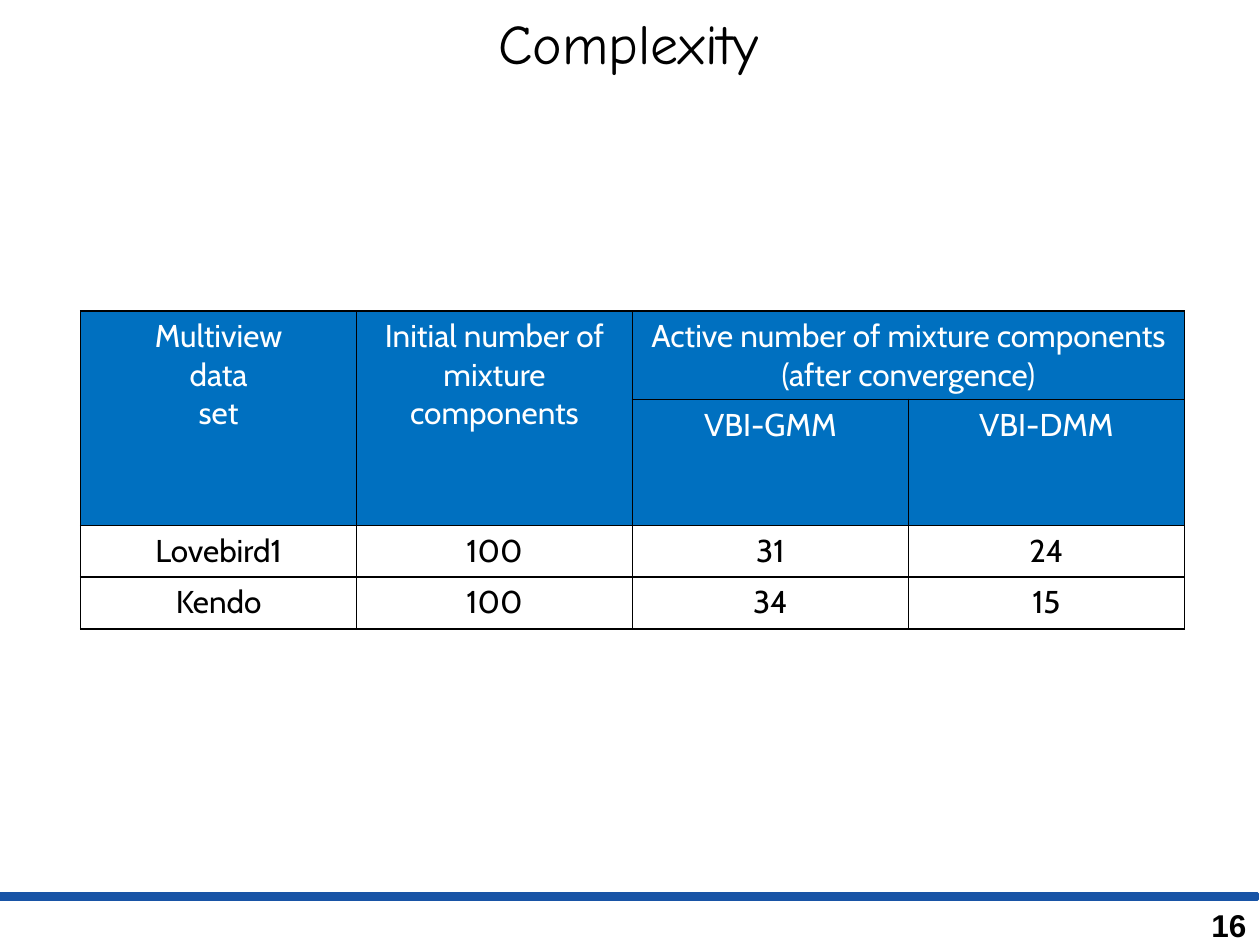
"""Build the Complexity slide: a title, a results table and a page footer."""
from dataclasses import dataclass

from lxml.etree import SubElement
from pptx import Presentation
from pptx.dml.color import RGBColor
from pptx.enum.shapes import MSO_SHAPE
from pptx.enum.text import MSO_ANCHOR, MSO_AUTO_SIZE, PP_ALIGN
from pptx.oxml.ns import qn
from pptx.slide import Slide
from pptx.table import Table, _Cell
from pptx.text.text import TextFrame
from pptx.util import Inches, Pt

BLACK = RGBColor(0, 0, 0)
WHITE = RGBColor(255, 255, 255)
HEADER_BLUE = RGBColor(0x00, 0x70, 0xC0)
RULE_BLUE = RGBColor(0x18, 0x54, 0xA6)

COLUMN_WIDTH = 2.19
ROW_HEIGHTS = (0.45, 0.41, 0.41, 0.41)
HEADER_ROWS = 2


@dataclass(frozen=True)
class HeaderCell:
    """A header cell with its grid place and span."""
    row: int
    column: int
    text: str
    row_span: int = 1
    column_span: int = 1


HEADERS = (
    HeaderCell(0, 0, "Multiview\ndata\nset", row_span=2),
    HeaderCell(0, 1, "Initial number of mixture components", row_span=2),
    HeaderCell(0, 2, "Active number of mixture components (after convergence)", column_span=2),
    HeaderCell(1, 2, "VBI-GMM"),
    HeaderCell(1, 3, "VBI-DMM"),
)
RESULTS = (
    ("Lovebird1", "100", "31", "24"),
    ("Kendo", "100", "34", "15"),
)


def write_text(frame: TextFrame, text: str, *, font: str = "Cabin", size: int = 18,
               color: RGBColor = BLACK, bold: bool = False,
               align: PP_ALIGN = PP_ALIGN.CENTER) -> None:
    """Fill a text frame with one formatted paragraph per line."""
    frame.word_wrap = True
    frame.text = text
    for paragraph in frame.paragraphs:
        paragraph.alignment = align
        for run in paragraph.runs:
            run.font.name = font
            run.font.size = Pt(size)
            run.font.bold = bold
            run.font.color.rgb = color


def add_bar(slide: Slide, top: float, height: float, color: RGBColor) -> TextFrame:
    """Add a rectangle across the slide and return its text frame."""
    shape = slide.shapes.add_shape(
        MSO_SHAPE.RECTANGLE, 0, Inches(top), Inches(9.98), Inches(height))
    shape.shadow.inherit = False
    shape.fill.solid()
    shape.fill.fore_color.rgb = color
    shape.line.color.rgb = color
    shape.line.width = Pt(2)
    return shape.text_frame


def style_cell(cell: _Cell, fill: RGBColor) -> None:
    """Give a cell thin black borders and a solid fill."""
    properties = cell._tc.get_or_add_tcPr()
    for side in ("a:lnL", "a:lnR", "a:lnT", "a:lnB"):
        border = SubElement(properties, qn(side), w=str(Pt(1)))
        solid = SubElement(border, qn("a:solidFill"))
        SubElement(solid, qn("a:srgbClr"), val=str(BLACK))
    cell.fill.solid()
    cell.fill.fore_color.rgb = fill


def add_header(table: Table, header: HeaderCell) -> None:
    """Write a header cell, merging it over its span."""
    cell = table.cell(header.row, header.column)
    if header.row_span * header.column_span > 1:
        cell.merge(table.cell(header.row + header.row_span - 1,
                              header.column + header.column_span - 1))
    write_text(cell.text_frame, header.text, color=WHITE)


def add_results_table(slide: Slide) -> None:
    """Add the table of mixture components."""
    column_count = len(RESULTS[0])
    table = slide.shapes.add_table(
        len(ROW_HEIGHTS), column_count, Inches(0.64), Inches(2.47),
        Inches(COLUMN_WIDTH * column_count), Inches(sum(ROW_HEIGHTS))).table
    table.horz_banding = False
    table.first_row = False
    for column in table.columns:
        column.width = Inches(COLUMN_WIDTH)
    for index, height in enumerate(ROW_HEIGHTS):
        table.rows[index].height = Inches(height)
        for cell in table.rows[index].cells:
            style_cell(cell, HEADER_BLUE if index < HEADER_ROWS else WHITE)
    for header in HEADERS:
        add_header(table, header)
    for row, values in enumerate(RESULTS, start=HEADER_ROWS):
        for column, value in enumerate(values):
            write_text(table.cell(row, column).text_frame, value)


def add_page_number(slide: Slide, number: str) -> None:
    """Add the page number at the lower right."""
    frame = slide.shapes.add_textbox(
        Inches(9.28), Inches(7.14), Inches(0.71), Inches(0.4)).text_frame
    write_text(frame, number, font="Arial", bold=True, align=PP_ALIGN.RIGHT)
    frame.auto_size = MSO_AUTO_SIZE.SHAPE_TO_FIT_TEXT


def main() -> None:
    """Build and save the presentation."""
    presentation = Presentation()
    presentation.slide_width = Inches(10)
    presentation.slide_height = Inches(7.5)
    slide = presentation.slides.add_slide(presentation.slide_layouts[6])
    title = add_bar(slide, 0.02, 0.63, WHITE)
    title.vertical_anchor = MSO_ANCHOR.MIDDLE
    write_text(title, "Complexity", font="Comic Neue", size=32)
    add_bar(slide, 7.09, 0.05, RULE_BLUE)
    add_page_number(slide, "16")
    add_results_table(slide)
    presentation.save("out.pptx")


if __name__ == "__main__":
    main()
